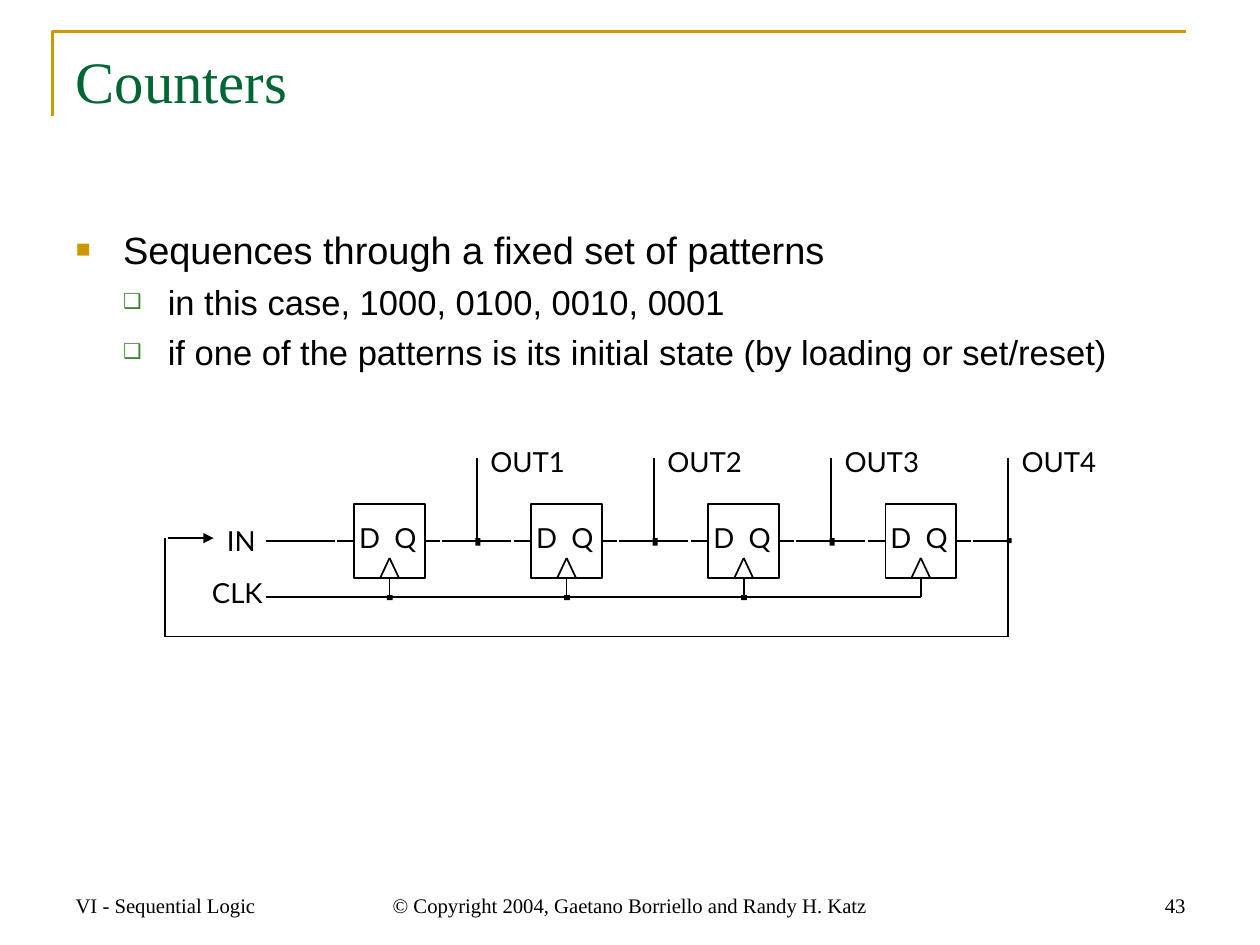
from dataclasses import dataclass

from lxml.etree import SubElement
from pptx import Presentation
from pptx.dml.color import RGBColor
from pptx.enum.shapes import MSO_CONNECTOR, MSO_SHAPE
from pptx.enum.text import MSO_ANCHOR as Anchor, MSO_AUTO_SIZE as AutoSize, PP_ALIGN as Align
from pptx.oxml.ns import qn
from pptx.shapes.autoshape import Shape
from pptx.shapes.connector import Connector
from pptx.shapes.shapetree import SlideShapes
from pptx.text.text import TextFrame
from pptx.util import Pt

BLACK = RGBColor(0x00, 0x00, 0x00)
WHITE = RGBColor(0xFF, 0xFF, 0xFF)
GOLD = RGBColor(0xCC, 0x99, 0x00)
GREEN = RGBColor(0x00, 0x66, 0x33)
LEAF = RGBColor(0x3B, 0x81, 0x2F)

# Diagram grid, in points
STAGES = 4
PITCH = 102.6
BOX_LEFT, BOX_TOP, BOX_WIDTH, BOX_HEIGHT = 205.2, 292, 41, 43
BOX_BOTTOM = BOX_TOP + BOX_HEIGHT
WIRE_Y = BOX_TOP + BOX_HEIGHT / 2
CLOCK_Y = 345.8
INPUT_X = 154
TAP_TOP = 265.2
TAP_OFFSET = 30.2  # from the right side of a flip-flop to its output tap
FEEDBACK_X, FEEDBACK_Y = 95.6, 368.8


@dataclass(frozen=True)
class Bullet:
    text: str
    level: int
    size: float
    before: float
    margin: float
    indent: float
    mark: str
    color: RGBColor
    percent: int


@dataclass(frozen=True)
class Footer:
    text: str
    left: float
    width: float
    align: Align


BULLETS = [
    Bullet("Sequences through a fixed set of patterns", 0, 22, 0, 27.4, -27.4, "■", GOLD, 65),
    *(Bullet(text, 1, 20, 5, 53.3, -25.9, "❑", LEAF, 60) for text in (
        "in this case, 1000, 0100, 0010, 0001",
        "if one of the patterns is its initial state (by loading or set/reset)")),
]

FOOTERS = [
    Footer("VI - Sequential Logic", 36.7, 170.6, Align.LEFT),
    Footer("© Copyright 2004, Gaetano Borriello and Randy H. Katz", 213.1, 303.8, Align.CENTER),
    Footer("43", 523.4, 170.6, Align.RIGHT),
]


def place(shape: Shape, left: float, top: float, width: float, height: float) -> None:
    shape.left, shape.top, shape.width, shape.height = Pt(left), Pt(top), Pt(width), Pt(height)


def set_frame(frame: TextFrame, side: float, end: float, anchor: Anchor) -> None:
    frame.word_wrap = True
    frame.auto_size = AutoSize.NONE
    frame.vertical_anchor = anchor
    frame.margin_left = frame.margin_right = Pt(side)
    frame.margin_top = frame.margin_bottom = Pt(end)


def set_font(para, name: str, size: float, color: RGBColor = BLACK) -> None:
    para.font.name = name
    para.font.size = Pt(size)
    para.font.color.rgb = color


def add_wire(shapes: SlideShapes, x1: float, y1: float, x2: float, y2: float) -> Connector:
    wire = shapes.add_connector(MSO_CONNECTOR.STRAIGHT, Pt(x1), Pt(y1), Pt(x2), Pt(y2))
    wire.line.color.rgb = BLACK
    wire.line.width = Pt(1)
    SubElement(wire._element.spPr, qn("a:effectLst"))
    return wire


def add_rectangle(shapes: SlideShapes, left: float, top: float, width: float, height: float,
                  fill: RGBColor) -> Shape:
    box = shapes.add_shape(MSO_SHAPE.RECTANGLE, Pt(left), Pt(top), Pt(width), Pt(height))
    box.shadow.inherit = False
    box.fill.solid()
    box.fill.fore_color.rgb = fill
    box.line.fill.background()
    return box


def add_label(shapes: SlideShapes, text: str, left: float, top: float, width: float,
              align: Align = Align.LEFT) -> None:
    frame = shapes.add_textbox(Pt(left), Pt(top), Pt(width), Pt(26.6)).text_frame
    set_frame(frame, 1.5, 2.2, Anchor.TOP)
    para = frame.paragraphs[0]
    para.text = text
    para.alignment = align
    para.line_spacing = Pt(17)
    set_font(para, "Lato", 16)


def add_bullet(para, bullet: Bullet) -> None:
    para.text = bullet.text
    para.level = bullet.level
    para.alignment = Align.LEFT
    para.space_before = Pt(bullet.before)
    props = para._p.get_or_add_pPr()
    props.set("marL", str(Pt(bullet.margin)))
    props.set("indent", str(Pt(bullet.indent)))
    color = SubElement(props, qn("a:buClr"))
    SubElement(color, qn("a:srgbClr"), val=str(bullet.color))
    SubElement(props, qn("a:buSzPct"), val=str(bullet.percent * 1000))
    SubElement(props, qn("a:buChar"), char=bullet.mark)
    set_font(para, "Arial", bullet.size)


def add_stage(shapes: SlideShapes, index: int) -> None:
    left = BOX_LEFT + index * PITCH
    right = left + BOX_WIDTH
    middle = left + BOX_WIDTH / 2
    tap = right + TAP_OFFSET
    last = index == STAGES - 1

    # Flip-flop with its clock mark
    box = add_rectangle(shapes, left, BOX_TOP, BOX_WIDTH, BOX_HEIGHT, WHITE)
    box.line.color.rgb = BLACK
    box.line.width = Pt(1)
    for side in (-5.5, 5.5):
        add_wire(shapes, middle + side, BOX_BOTTOM, middle, 323.3)
    add_label(shapes, "D", left + 1.4, 301.7, 20)
    add_label(shapes, "Q", left + 21.8, 301.7, 20)

    # Data wires
    add_wire(shapes, left - 10, WIRE_Y, left, WIRE_Y).end_connect(box, 1)
    add_wire(shapes, right, WIRE_Y, right + 8.8, WIRE_Y).begin_connect(box, 3)
    add_wire(shapes, right + 9.9, WIRE_Y, tap, WIRE_Y)
    if not last:
        add_wire(shapes, tap, WIRE_Y, tap + 19.4, WIRE_Y)

    # Output tap
    add_wire(shapes, tap, TAP_TOP, tap, WIRE_Y)
    add_rectangle(shapes, tap - 0.9, 311.8, 2.9, 2.9 if last else 4.3, BLACK)
    add_label(shapes, f"OUT{index + 1}", tap + 6.2, 257.8, 57)

    # Clock wires
    add_wire(shapes, middle, BOX_BOTTOM, middle, CLOCK_Y).begin_connect(box, 2)
    add_wire(shapes, middle - PITCH if index else INPUT_X, CLOCK_Y, middle, CLOCK_Y)
    if not last:
        add_rectangle(shapes, middle - 1.5, 344.8, 3.4, 3, BLACK)


def add_feedback(shapes: SlideShapes) -> None:
    tap = BOX_LEFT + (STAGES - 1) * PITCH + BOX_WIDTH + TAP_OFFSET
    add_wire(shapes, tap, WIRE_Y, tap, FEEDBACK_Y)
    add_wire(shapes, tap, FEEDBACK_Y, FEEDBACK_X, FEEDBACK_Y)
    add_wire(shapes, FEEDBACK_X, FEEDBACK_Y, FEEDBACK_X, 311.5)
    arrow = add_wire(shapes, 97.2, 311.8, 123.8, 311.8)
    SubElement(arrow.line._get_or_add_ln(), qn("a:tailEnd"), type="triangle")


def main() -> None:
    deck = Presentation()
    deck.slide_width, deck.slide_height = Pt(730), Pt(547.5)
    page = deck.slides.add_slide(deck.slide_layouts[1])
    shapes = page.shapes

    # Corner rule
    builder = shapes.build_freeform(Pt(30.5), Pt(67), scale=1.0)
    builder.add_line_segments([(Pt(30.5), Pt(18.2)), (Pt(687.4), Pt(18.2))], close=False)
    rule = builder.convert_to_shape()
    rule.shadow.inherit = False
    rule.fill.background()
    rule.line.color.rgb = GOLD
    rule.line.width = Pt(1.5)

    # Title and list
    title, body = page.placeholders
    place(title, 36.7, 22.3, 656.6, 90.7)
    set_frame(title.text_frame, 7.2, 3.6, Anchor.TOP)
    heading = title.text_frame.paragraphs[0]
    heading.text = "Counters"
    heading.alignment = Align.LEFT
    set_font(heading, "Times New Roman", 34, GREEN)

    place(body, 36.7, 127.7, 656.6, 361.4)
    set_frame(body.text_frame, 7.2, 3.6, Anchor.TOP)
    for index, bullet in enumerate(BULLETS):
        frame = body.text_frame
        add_bullet(frame.add_paragraph() if index else frame.paragraphs[0], bullet)

    # Ring counter
    add_label(shapes, "IN", 107.8, 303.8, 41.8, Align.RIGHT)
    add_label(shapes, "CLK", 113.4, 333.6, 40.3, Align.RIGHT)
    add_wire(shapes, INPUT_X, WIRE_Y, BOX_LEFT - 11, WIRE_Y)
    for index in range(STAGES):
        add_stage(shapes, index)
    add_feedback(shapes)

    # Footers
    for footer in FOOTERS:
        box = shapes.add_textbox(Pt(footer.left), Pt(498.4), Pt(footer.width), Pt(36.7))
        set_frame(box.text_frame, 7.2, 3.6, Anchor.BOTTOM)
        para = box.text_frame.paragraphs[0]
        para.text = footer.text
        para.alignment = footer.align
        set_font(para, "Times New Roman", 12)

    deck.save("out.pptx")


if __name__ == "__main__":
    main()
